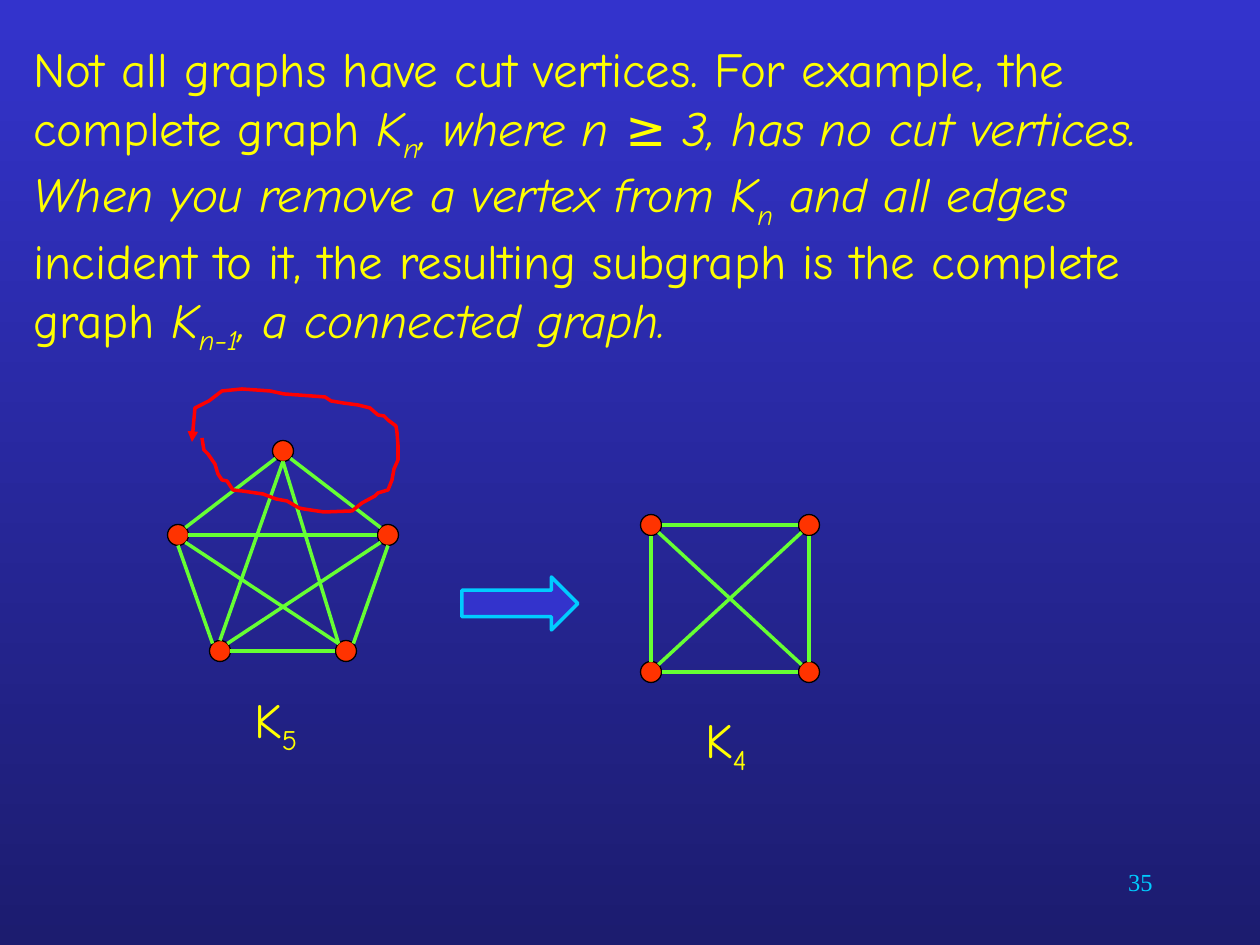
import math

import pptx
import pptx.dml.color
import pptx.enum.shapes
import pptx.enum.text
import pptx.oxml
import pptx.oxml.ns
import pptx.util
from lxml import etree

SCALE = 914400 / 126
COLORS = {"top": "3333CC", "bottom": "1C1C6F", "text": "FFFF00", "cyan": "00CCFF",
          "node": "FF3300", "edge": "66FF33", "outline": "000000", "loop": "FF0000"}
COLORS = {name: pptx.dml.color.RGBColor.from_string(value) for name, value in COLORS.items()}
DIAMETER = 21
SITES = {"e": 0, "se": 45, "s": 90, "sw": 135, "w": 180, "nw": 225, "n": 270, "ne": 315}
GRAPHS = [
    ({"bottom left": (651, 672), "bottom right": (809, 672),
      "top left": (651, 525), "top right": (809, 525)},
     [("bottom left", "n", "top left", "s"),
      ("top left", "e", "top right", "w"),
      ("top right", "s", "bottom right", "n"),
      ("bottom left", "e", "bottom right", "w"),
      ("bottom left", "ne", "top right", "sw"),
      ("top left", "se", "bottom right", "nw")]),
    ({"bottom left": (220, 651), "bottom right": (346, 651), "left": (178, 535),
      "right": (388, 535), "apex": (283, 451)},
     [("left", "s", "bottom left", "nw"),
      ("bottom left", "e", "bottom right", "w"),
      ("bottom right", "ne", "right", "s"),
      ("right", "nw", "apex", "se"),
      ("left", "ne", "apex", "sw"),
      ("apex", "s", "bottom left", "n"),
      ("apex", "s", "bottom right", "nw"),
      ("left", "e", "right", "w"),
      ("left", "se", "bottom right", "nw"),
      ("bottom left", "ne", "right", "sw")]),
]
LOOP = [(202, 438), (204, 450), (208, 454), (215, 464), (218, 474), (222, 480), (227, 481),
        (233, 490), (242, 491), (263, 494), (276, 499), (287, 501), (299, 508), (304, 509),
        (324, 512), (352, 511), (362, 503), (375, 496), (378, 493), (388, 490), (392, 480),
        (394, 469), (398, 460), (398, 445), (397, 432), (396, 426), (388, 420), (384, 416),
        (378, 415), (370, 408), (358, 405), (343, 403), (331, 401), (325, 397), (284, 394),
        (270, 391), (242, 389), (222, 391), (209, 401), (195, 408), (193, 430), (192, 442)]


def px(value):
    return pptx.util.Emu(round(value * SCALE))


def add_text(runs, left, top, width, height, size=28, font="Comic Neue", color="text", align="LEFT"):
    box = slide.shapes.add_textbox(px(left), px(top), px(width), px(height))
    box.text_frame.word_wrap = True
    paragraph = box.text_frame.paragraphs[0]
    paragraph.alignment = pptx.enum.text.PP_ALIGN[align]
    for text, style in runs:
        run = paragraph.add_run()
        run.text = text
        run.font.name = font
        run.font.size = pptx.util.Pt(size)
        run.font.color.rgb = COLORS[color]
        run.font.italic = "italic" in style
        if "sub" in style:
            run._r.get_or_add_rPr().set("baseline", "-25000")


presentation = pptx.Presentation()
presentation.slide_width = px(1260)
presentation.slide_height = px(945)
slide = presentation.slides.add_slide(presentation.slide_layouts[6])

background = slide.background.fill
background.gradient()
background.gradient_angle = 270
for stop, name in zip(background.gradient_stops, ("top", "bottom")):
    stop.color.rgb = COLORS[name]

add_text([("35", "")], 903, 861, 262, 63, size=14, font="Times New Roman", color="cyan", align="RIGHT")
add_text([
    ("Not all graphs have cut vertices. For example, the complete graph ", ""),
    ("K", "italic"),
    ("n", "italic sub"),
    (", where n ≥ 3, has no cut vertices. When you remove a vertex from K", "italic"),
    ("n", "italic sub"),
    (" and all edges ", "italic"),
    ("incident to it, the resulting subgraph is the complete graph ", ""),
    ("K", "italic"),
    ("n−1", "italic sub"),
    (", a connected graph.", "italic"),
], 21, 32, 1187, 310)

for nodes, edges in GRAPHS:
    group = slide.shapes.add_group_shape()
    for x, y in nodes.values():
        node = group.shapes.add_shape(
            pptx.enum.shapes.MSO_SHAPE.FLOWCHART_CONNECTOR,
            px(x - DIAMETER / 2), px(y - DIAMETER / 2), px(DIAMETER), px(DIAMETER))
        node.shadow.inherit = False
        node.fill.solid()
        node.fill.fore_color.rgb = COLORS["node"]
        node.line.color.rgb = COLORS["outline"]
        node.line.width = pptx.util.Pt(0.75)
    for start, start_site, end, end_site in edges:
        ends = []
        for name, site in ((start, start_site), (end, end_site)):
            angle = math.radians(SITES[site])
            x, y = nodes[name]
            ends += [px(x + DIAMETER / 2 * math.cos(angle)), px(y + DIAMETER / 2 * math.sin(angle))]
        edge = group.shapes.add_connector(pptx.enum.shapes.MSO_CONNECTOR.STRAIGHT, *ends)
        edge.line.color.rgb = COLORS["edge"]
        edge.line.width = pptx.util.Pt(2)
        etree.SubElement(edge._element.spPr, pptx.oxml.ns.qn("a:effectLst"))

for order, left, top in (("4", 693, 703), ("5", 242, 683)):
    add_text([("K", ""), (order, "sub")], left, top, 84, 72)

arrow = slide.shapes.add_shape(
    pptx.enum.shapes.MSO_SHAPE.RIGHT_ARROW, px(462), px(577), px(116), px(53))
arrow.shadow.inherit = False
arrow.fill.solid()
arrow.fill.fore_color.rgb = COLORS["top"]
arrow.line.color.rgb = COLORS["cyan"]
arrow.line.width = pptx.util.Pt(2)

builder = slide.shapes.build_freeform(*LOOP[0], scale=SCALE)
builder.add_line_segments(LOOP[1:], close=False)
loop = builder.convert_to_shape()
loop.shadow.inherit = False
loop.fill.background()
loop.line.color.rgb = COLORS["loop"]
loop.line.width = pptx.util.Pt(2)
line = loop.line._get_or_add_ln()
etree.SubElement(line, pptx.oxml.ns.qn("a:round"))
etree.SubElement(line, pptx.oxml.ns.qn("a:tailEnd"), type="triangle")

presentation.save("out.pptx")
